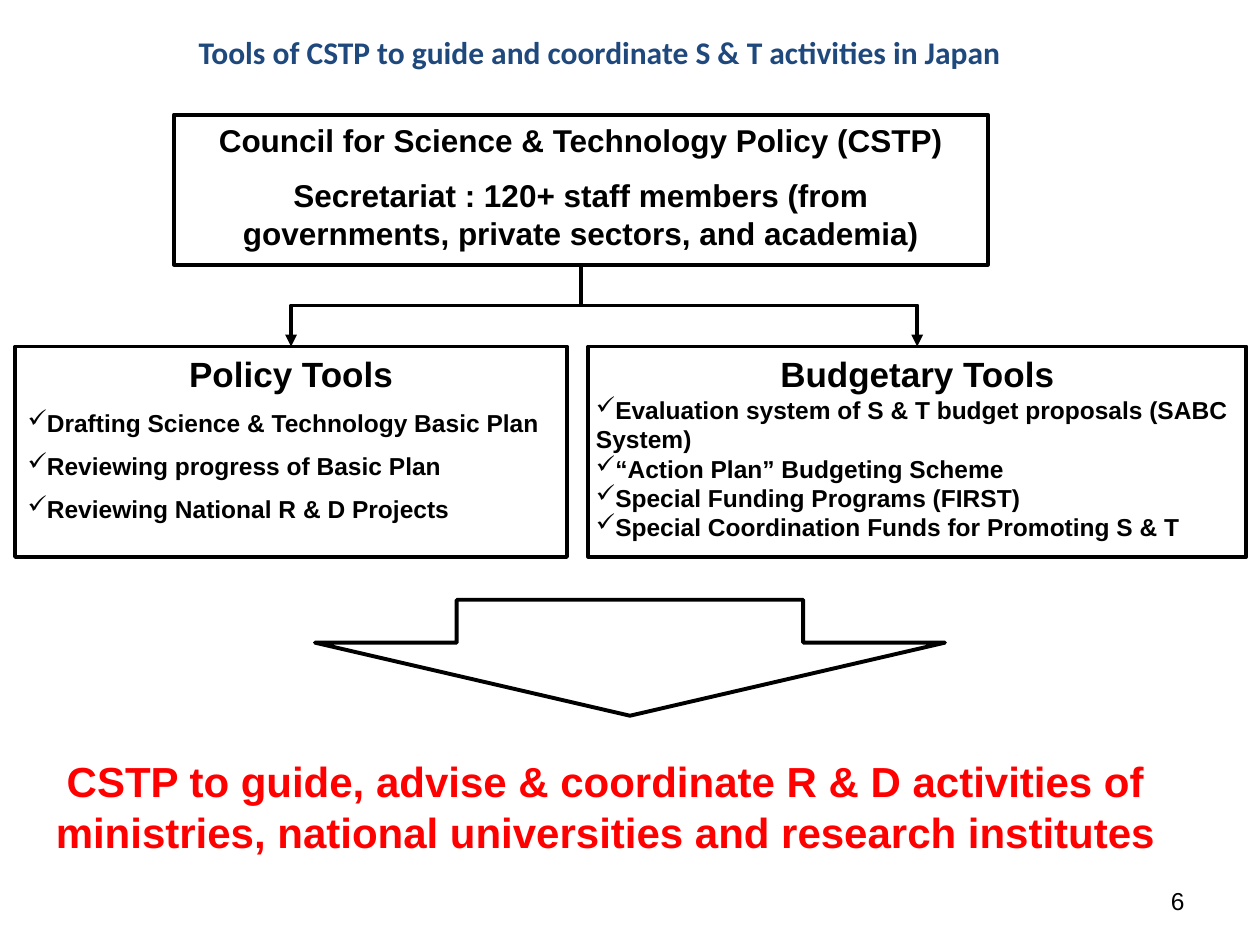
from lxml import etree
from pptx import Presentation
from pptx.dml.color import RGBColor
from pptx.enum.shapes import MSO_CONNECTOR, MSO_SHAPE
from pptx.enum.text import MSO_ANCHOR, PP_ALIGN
from pptx.oxml.ns import qn
from pptx.util import Inches, Pt

RECTANGLE, DOWN_ARROW = MSO_SHAPE.RECTANGLE, MSO_SHAPE.DOWN_ARROW
ELBOW = MSO_CONNECTOR.ELBOW
LEFT, CENTER, RIGHT = PP_ALIGN.LEFT, PP_ALIGN.CENTER, PP_ALIGN.RIGHT
TOP, MIDDLE = MSO_ANCHOR.TOP, MSO_ANCHOR.MIDDLE
TOP_SIDE, BOTTOM_SIDE = 0, 2

COLORS = {"ink": "000000", "title": "1F497D", "message": "FF0000"}
LINE_WIDTH = Pt(2.25)
HALF_LINE = 0.55  # half a line's height, as a share of the font size

# Places are left, top, width, height in percent of the slide
TITLE = "Tools of CSTP to guide and coordinate S & T activities in Japan"
TITLE_PLACE = (0, 3.73, 95.2, 3.6)
COUNCIL = [
    "Council for Science & Technology Policy (CSTP)",
    "Secretariat : 120+ staff members (from governments, private sectors, and academia)",
]
COUNCIL_PLACE = (13.8, 12.13, 64.6, 15.87)
TOOLS_TOP, TOOLS_HEIGHT = 36.67, 22.27
TOOLS = [
    {
        "heading": "Policy Tools", "left": 1.2, "width": 43.8, "inset": 0.1, "gap": HALF_LINE,
        "items": [
            "Drafting Science & Technology Basic Plan",
            "Reviewing progress of Basic Plan",
            "Reviewing National R & D Projects",
        ],
    },
    {
        "heading": "Budgetary Tools", "left": 46.7, "width": 52.2, "inset": 0.06, "gap": 0,
        "items": [
            "Evaluation system of S & T budget proposals (SABC System)",
            "“Action Plan” Budgeting Scheme",
            "Special Funding Programs (FIRST)",
            "Special Coordination Funds for Promoting S & T",
        ],
    },
]
ARROW_PLACE = (25, 63.47, 50, 12.27)
MESSAGE = ("CSTP to guide, advise & coordinate R & D activities of "
           "ministries, national universities and research institutes")
MESSAGE_PLACE = (2, 79.33, 92.1, 12)
PAGE_NUMBER = "6"
NUMBER_PLACE = (71.7, 92.67, 23.3, 5.33)

deck = Presentation()
deck.slide_width, deck.slide_height = Inches(10), Inches(7.5)
page = deck.slides.add_slide(deck.slide_layouts[5])


def scaled(place):
    sizes = (deck.slide_width, deck.slide_height) * 2
    return [round(share * size / 100) for share, size in zip(place, sizes)]


def prepare_frame(shape, anchor=TOP, inset=0.1):
    frame = shape.text_frame
    frame.word_wrap = True
    frame.vertical_anchor = anchor
    frame.margin_left = frame.margin_right = Inches(inset)
    frame.margin_top = frame.margin_bottom = Inches(0.05)
    return frame


def write(frame, text, size, color="ink", bold=True, align=CENTER,
          font="Arial", gap=0, bullet=None):
    """Fill the empty first paragraph, or add one below the existing text."""
    first = not frame.text
    para = frame.paragraphs[0] if first else frame.add_paragraph()
    if bullet:
        mark = etree.SubElement(para._p.get_or_add_pPr(), qn("a:buChar"))
        mark.set("char", bullet)
    para.alignment = align
    if not first:
        para.space_before = Pt(round(size * gap, 1))
    span = para.add_run()
    span.text = text
    span.font.name, span.font.size, span.font.bold = font, Pt(size), bold
    span.font.color.rgb = RGBColor.from_string(COLORS[color])


def draw_outline(kind, place):
    shape = page.shapes.add_shape(kind, *scaled(place))
    shape.shadow.inherit = False
    shape.fill.background()
    shape.line.color.rgb = RGBColor.from_string(COLORS["ink"])
    shape.line.width = LINE_WIDTH
    return shape


def join_down(upper, lower):
    """Run a down-across-down elbow arrow from one box to another below it."""
    start_x, start_y = upper.left + upper.width // 2, upper.top + upper.height
    end_x, end_y = lower.left + lower.width // 2, lower.top
    across, down = abs(end_x - start_x), end_y - start_y
    link = page.shapes.add_connector(ELBOW, start_x, start_y, end_x, end_y)
    link.begin_connect(upper, BOTTOM_SIDE)
    link.end_connect(lower, TOP_SIDE)

    # An elbow starts sideways, so its frame is turned a quarter about its centre
    link.left = (start_x + end_x - down) // 2
    link.top = (start_y + end_y - across) // 2
    link.width, link.height = down, across
    to_left = end_x < start_x
    frame = link._element.spPr.find(qn("a:xfrm"))
    frame.set("rot", str((90 if to_left else 270) * 60000))
    frame.set("flipH", "0" if to_left else "1")
    frame.set("flipV", "0")

    link.line.color.rgb = RGBColor.from_string(COLORS["ink"])
    link.line.width = LINE_WIDTH
    etree.SubElement(link.line._get_or_add_ln(), qn("a:tailEnd")).set("type", "triangle")
    etree.SubElement(link._element.spPr, qn("a:effectLst"))


title = page.shapes.title
title.left, title.top, title.width, title.height = scaled(TITLE_PLACE)
write(prepare_frame(title, MIDDLE), TITLE, 18, "title", font="Calibri")

council = draw_outline(RECTANGLE, COUNCIL_PLACE)
council_frame = prepare_frame(council)
for line in COUNCIL:
    write(council_frame, line, 18, gap=HALF_LINE)

for tool in TOOLS:
    box = draw_outline(RECTANGLE, (tool["left"], TOOLS_TOP, tool["width"], TOOLS_HEIGHT))
    tool_frame = prepare_frame(box, inset=tool["inset"])
    write(tool_frame, tool["heading"], 20)
    for item in tool["items"]:
        write(tool_frame, item, 14, align=LEFT, gap=tool["gap"], bullet="✓")
    join_down(council, box)

arrow = draw_outline(DOWN_ARROW, ARROW_PLACE)
arrow.adjustments[0], arrow.adjustments[1] = 0.55, 0.63

message = page.shapes.add_textbox(*scaled(MESSAGE_PLACE))
write(prepare_frame(message), MESSAGE, 24, "message")

number = page.shapes.add_textbox(*scaled(NUMBER_PLACE))
write(prepare_frame(number, MIDDLE), PAGE_NUMBER, 14, bold=False, align=RIGHT)

deck.save("out.pptx")
